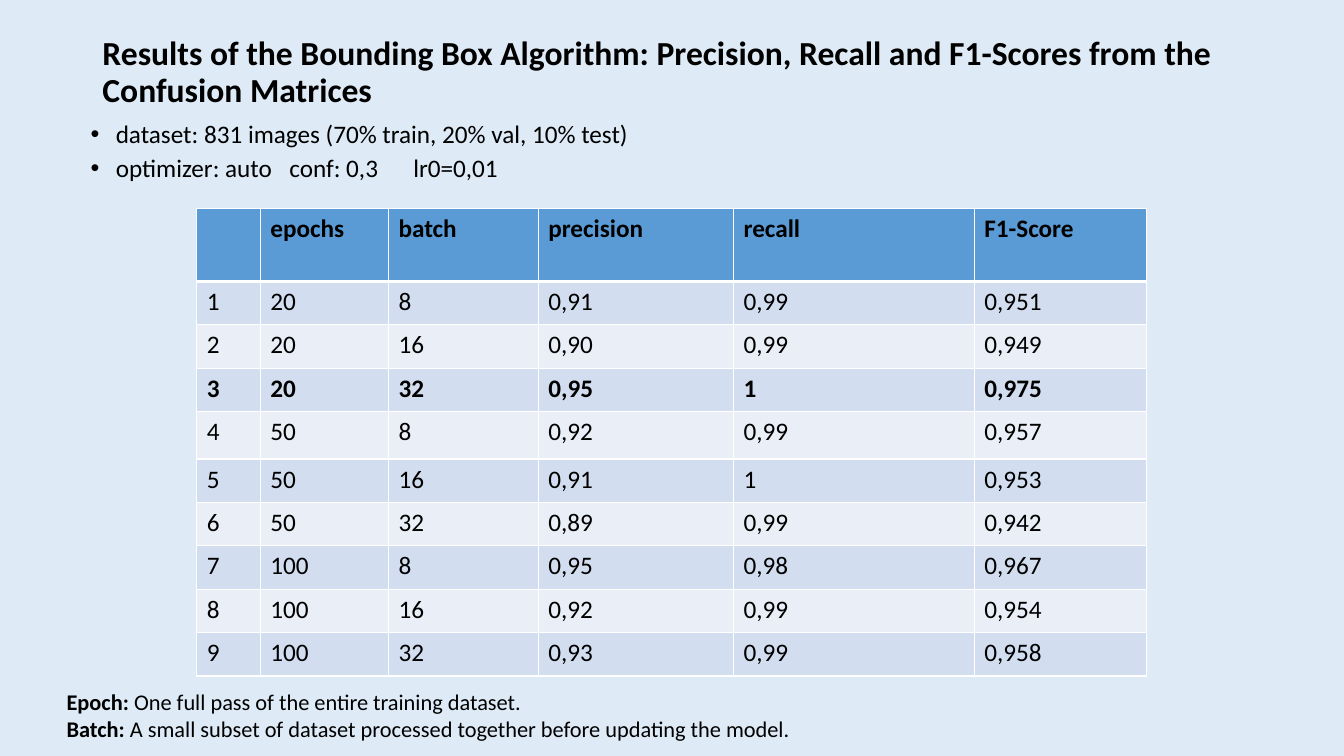
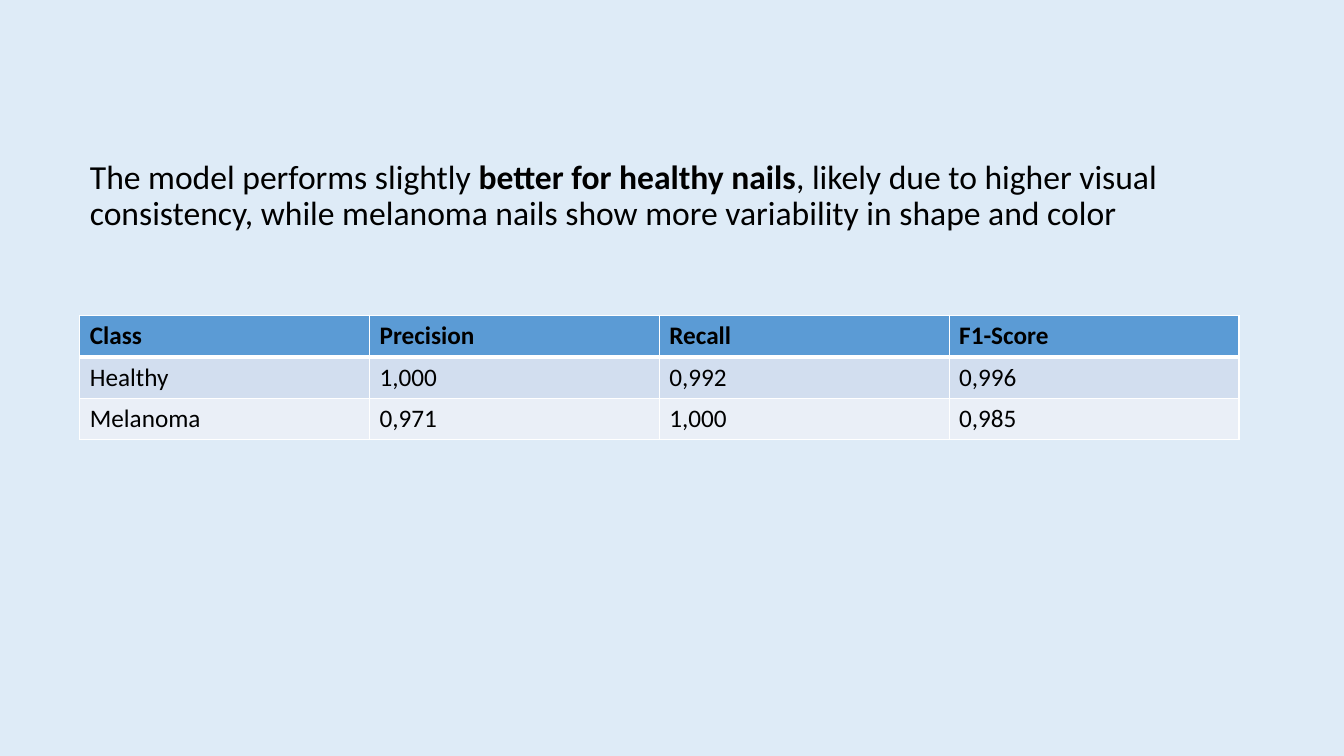
from lxml import etree
from pptx import Presentation
from pptx.dml.color import RGBColor
from pptx.enum import text as tx
from pptx.oxml import ns
from pptx.util import Pt

PX = 6350
FONT = "Calibri"
PALE = RGBColor(0xDE, 0xEB, 0xF7)
BLACK = RGBColor(0, 0, 0)
BLUE = RGBColor(0x5B, 0x9B, 0xD5)
BANDS = RGBColor(0xD2, 0xDE, 0xEF), RGBColor(0xEA, 0xEF, 0xF7)
WHITE = RGBColor(0xFF, 0xFF, 0xFF)

SCORES = """1 20 8 0,91 0,99 0,951
2 20 16 0,90 0,99 0,949
3 20 32 0,95 1 0,975
4 50 8 0,92 0,99 0,957
5 50 16 0,91 1 0,953
6 50 32 0,89 0,99 0,942
7 100 8 0,95 0,98 0,967
8 100 16 0,92 0,99 0,954
9 100 32 0,93 0,99 0,958"""


def scale(box):
    return [n * PX for n in box]


def place(shape, box):
    for key, val in zip(("left", "top", "width", "height"), scale(box)):
        setattr(shape, key, val)


def write(para, parts, size):
    for words, bold in parts:
        run = para.add_run()
        run.text = words
        look = {"name": FONT, "size": Pt(size), "bold": bold}
        for key, val in look.items():
            setattr(run.font, key, val)
        run.font.color.rgb = BLACK


def frame(shape, **style):
    base = {"word_wrap": True, "auto_size": tx.MSO_AUTO_SIZE.NONE}
    for key, val in {**base, **style}.items():
        setattr(shape.text_frame, key, val)
    return shape.text_frame


def title(slide, box, parts):
    shape = slide.shapes.title
    place(shape, box)
    para = frame(shape, vertical_anchor=tx.MSO_ANCHOR.MIDDLE).paragraphs[0]
    para.alignment = tx.PP_ALIGN.LEFT
    para.line_spacing = 0.9
    write(para, parts, 24)


def node(root, tag, **attrs):
    return etree.SubElement(root, ns.qn("a:" + tag), attrs)


def bullets(slide, box, lines, stops):
    shape = slide.placeholders[1]
    place(shape, box)
    body = frame(shape, vertical_anchor=tx.MSO_ANCHOR.TOP)
    for i, line in enumerate(lines):
        para = body.add_paragraph() if i else body.paragraphs[0]
        look = {"level": 1, "line_spacing": 0.9, "space_before": Pt(5 if i else 0)}
        for key, val in look.items():
            setattr(para, key, val)
        props = para._p.get_or_add_pPr()
        props.set("marL", str(108 * PX))
        props.set("indent", str(-36 * PX))
        node(props, "buFont", typeface="Arial")
        node(props, "buChar", char="•")
        if "\t" in line:
            tabs = node(props, "tabLst")
            for stop in stops:
                node(tabs, "tab", pos=str(stop * PX), algn="l")
        write(para, [(line, False)], 18)


def edge(cell, row):
    props = cell._tc.get_or_add_tcPr()
    wide = {"lnT": 3 if row == 1 else 1, "lnB": 1 if row else 3}
    for side in ("lnL", "lnR", "lnT", "lnB"):
        line = node(props, side, w=str(Pt(wide.get(side, 1))))
        node(node(line, "solidFill"), "srgbClr", val=str(WHITE))


def table(slide, left, top, cols, rows, data, strong=()):
    box = scale((left, top, sum(cols), sum(rows)))
    grid = slide.shapes.add_table(len(rows), len(cols), *box).table
    for col, width in zip(grid.columns, scale(cols)):
        col.width = width
    for r, (high, line) in enumerate(zip(scale(rows), data)):
        grid.rows[r].height = high
        for c, words in enumerate(line):
            cell = grid.cell(r, c)
            edge(cell, r)
            cell.fill.solid()
            cell.fill.fore_color.rgb = BANDS[(r - 1) % 2] if r else BLUE
            if words:
                write(cell.text_frame.paragraphs[0], [(words, r == 0 or r in strong)], 18)


def notes(slide, box, terms):
    body = frame(slide.shapes.add_textbox(*scale(box)))
    for i, (term, gloss) in enumerate(terms):
        para = body.add_paragraph() if i else body.paragraphs[0]
        write(para, [(term, True), (" " + gloss, False)], 16)


def results(deck):
    slide = deck.slides.add_slide(deck.slide_layouts[1])
    title(slide, (132, 0, 1656, 209), [
        ("Results of the Bounding Box Algorithm: Precision, Recall and F1-Scores "
         "from the Confusion Matrices", True)])
    bullets(slide, (43, 167, 1656, 120), [
        "dataset: 831 images (70% train, 20% val, 10% test)",
        "optimizer: auto\tconf: 0,3\tlr0=0,01"], (356, 533))
    head = ["", "epochs", "batch", "precision", "recall", "F1-Score"]
    table(slide, 281, 298, (91, 183, 214, 279, 344, 246),
          [104] + [62] * 3 + [68] + [62] * 5,
          [head] + [line.split() for line in SCORES.splitlines()], {3})
    notes(slide, (81, 976, 1685, 92), [
        ("Epoch:", "One full pass of the entire training dataset."),
        ("Batch:", "A small subset of dataset processed together before updating the model.")])


def classes(deck):
    slide = deck.slides.add_slide(deck.slide_layouts[5])
    title(slide, (114, 176, 1721, 209), [
        ("The model performs slightly ", False),
        ("better for healthy nails", True),
        (", likely due to higher visual consistency, while melanoma nails "
         "show more variability in shape and color", False)])
    table(slide, 114, 451, [414] * 4, [59] * 3, [
        ["Class", "Precision", "Recall", "F1-Score"],
        ["Healthy", "1,000", "0,992", "0,996"],
        ["Melanoma", "0,971", "1,000", "0,985"]])


def main():
    deck = Presentation()
    deck.slide_width, deck.slide_height = scale((1920, 1080))
    fill = deck.slide_master.background.fill
    fill.solid()
    fill.fore_color.rgb = PALE
    results(deck)
    classes(deck)
    deck.save("out.pptx")


if __name__ == "__main__":
    main()
